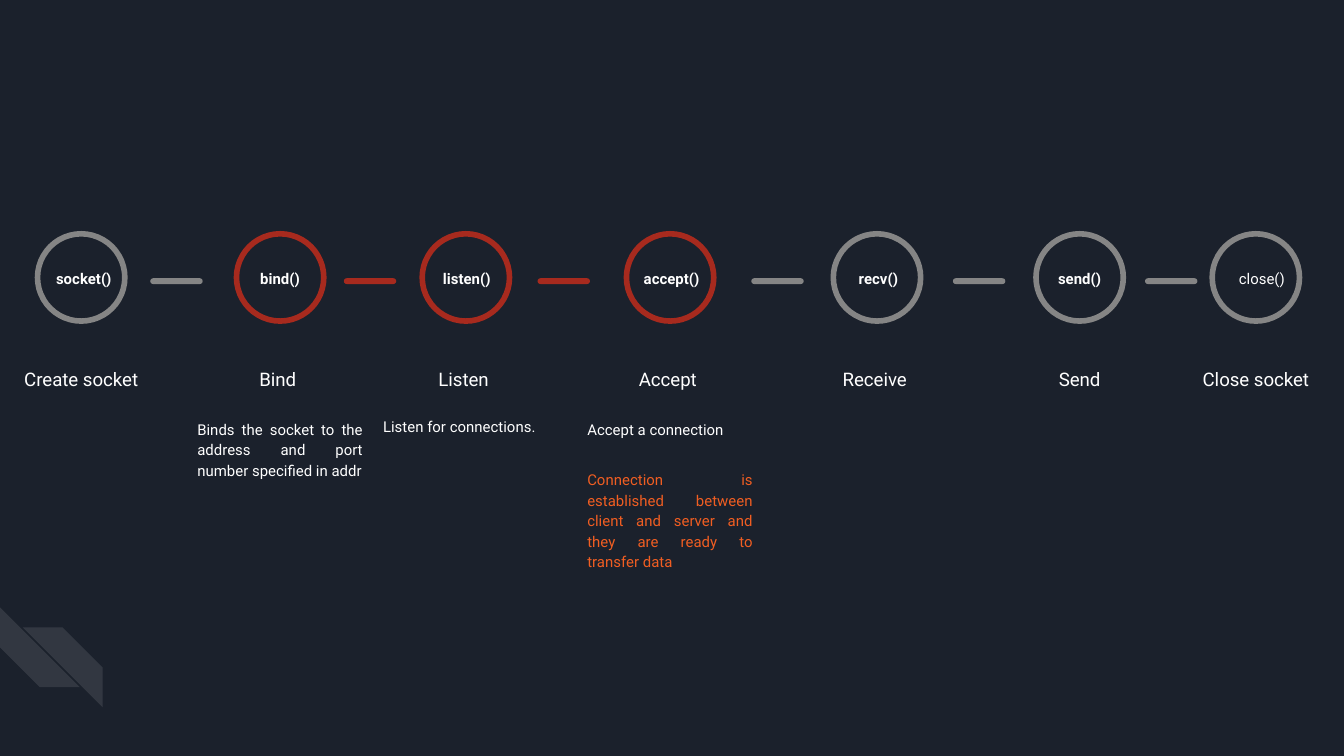
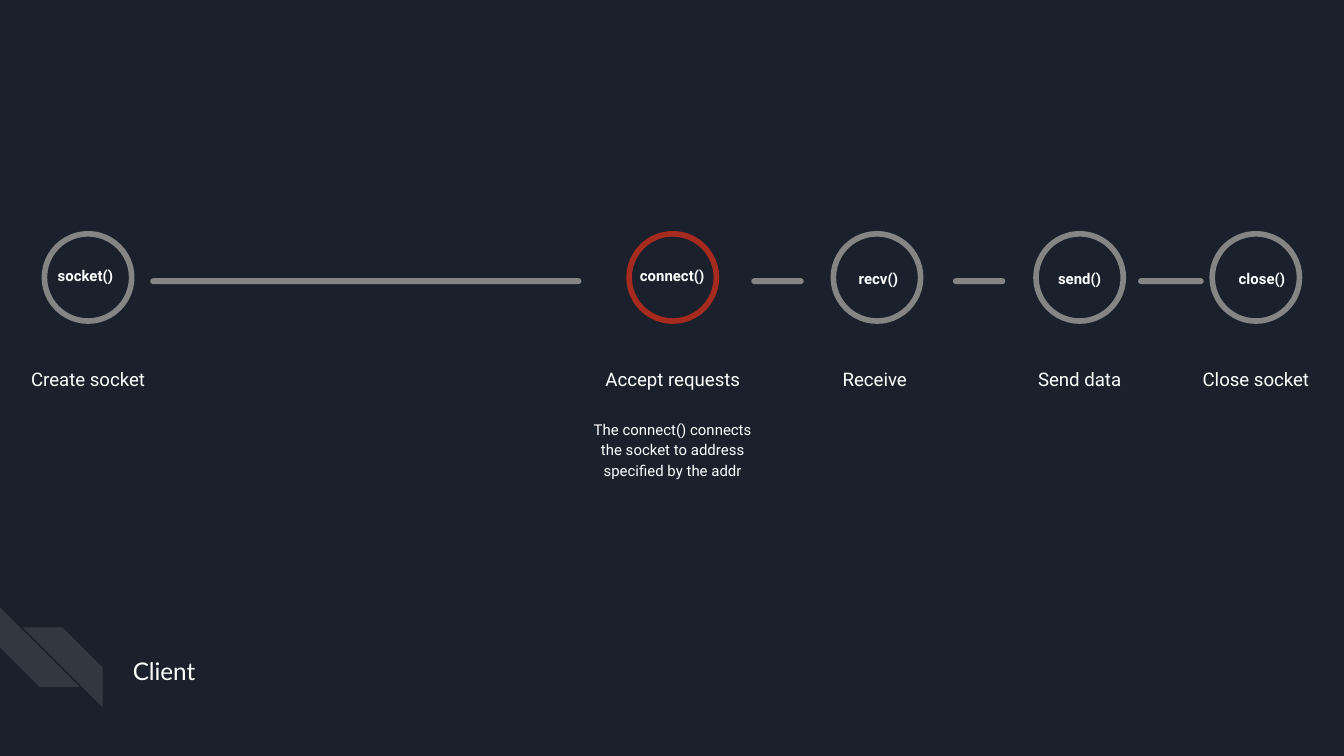
from dataclasses import dataclass
from typing import NamedTuple

from lxml.etree import SubElement
from pptx import Presentation
from pptx.dml.color import RGBColor
from pptx.enum.shapes import MSO_SHAPE
from pptx.enum.text import MSO_ANCHOR, PP_ALIGN
from pptx.oxml.ns import qn
from pptx.shapes.autoshape import Shape
from pptx.shapes.shapetree import GroupShapes, SlideShapes
from pptx.slide import Slide
from pptx.util import Cm, Pt

NAVY = RGBColor(0x1B, 0x21, 0x2C)
WHITE = RGBColor(0xFF, 0xFF, 0xFF)
GREY = RGBColor(0x85, 0x85, 0x85)
RED = RGBColor(0xA7, 0x2A, 0x1E)
ORANGE = RGBColor(0xF1, 0x5E, 0x22)

LEFT, CENTER, JUSTIFY = PP_ALIGN.LEFT, PP_ALIGN.CENTER, PP_ALIGN.JUSTIFY
RING = 1.65
RING_TOP = 4.42
BAR_TOP = 5.26
BAR_HEIGHT = 0.11

Shapes = SlideShapes | GroupShapes


class Box(NamedTuple):
    """Left, top, width and height in centimetres."""

    left: float
    top: float
    width: float
    height: float


@dataclass(frozen=True)
class Step:
    """A ringed socket call with its label and optional explanation."""

    left: float
    call: str
    label: str
    color: RGBColor = GREY
    call_shift: float = 0
    call_top: float = 4.85
    call_width: float = RING
    call_align: PP_ALIGN = CENTER
    bold: bool = True
    detail: str = ""
    detail_align: PP_ALIGN = JUSTIFY


@dataclass(frozen=True)
class Bar:
    """A rounded dash between two steps."""

    left: float
    width: float = 0.99
    color: RGBColor = GREY


RECEIVE = Step(15.75, "recv()", "Receive ", call_shift=0.23, call_width=1.42, call_align=LEFT)

SERVER_STEPS = (
    Step(0.71, "socket()", "Create socket", call_shift=0.1, call_align=LEFT),
    Step(4.47, "bind()", "Bind ", RED,
         detail="Binds the socket to the address and port number specified in addr"),
    Step(7.98, "listen()", "Listen ", RED, call_shift=-0.08, call_width=1.85,
         detail="Listen for connections.", detail_align=LEFT),
    Step(11.84, "accept()", "Accept ", RED, call_shift=0.03,
         detail="Accept a connection\nConnection is established between client and server "
                "and they are ready to transfer data"),
    RECEIVE,
    Step(19.58, "send()", "Send"),
    Step(22.91, "close()", "Close socket", call_shift=0.23, call_width=1.42, bold=False),
)
SERVER_BARS = (Bar(2.84), Bar(6.5, color=RED), Bar(10.16, color=RED),
               Bar(14.2), Bar(18.01), Bar(21.64))

CLIENT_STEPS = (
    Step(0.84, "socket()", "Create socket", call_top=4.8, call_align=LEFT),
    Step(11.89, "connect()", "Accept requests", RED, call_shift=-0.2, call_top=4.8,
         call_width=2.03, detail_align=CENTER,
         detail="The connect() connects the socket to address specified by the addr"),
    RECEIVE,
    Step(19.58, "send()", "Send data"),
    Step(22.91, "close()", "Close socket", call_shift=0.23, call_width=1.42),
)
CLIENT_BARS = (Bar(2.84, 8.15), Bar(14.2), Bar(18.01), Bar(21.51, 1.24))


def add_shape(shapes: Shapes, kind: MSO_SHAPE, box: Box, *, fill: RGBColor | None = None,
              line: RGBColor | None = None) -> Shape:
    """Add a flat preset shape with an optional fill and outline."""
    s = shapes.add_shape(kind, *map(Cm, box))
    s.shadow.inherit = False
    if fill is None:
        s.fill.background()
    else:
        s.fill.solid()
        s.fill.fore_color.rgb = fill
    if line is None:
        s.line.fill.background()
    else:
        s.line.color.rgb = line
        s.line.width = Pt(3)
    return s


def add_text(shapes: Shapes, text: str, box: Box, *, size: float = 8, bold: bool = False,
             font: str = "Roboto", align: PP_ALIGN = CENTER, spacing: float = 1.15,
             anchor: MSO_ANCHOR = MSO_ANCHOR.TOP) -> None:
    """Add a wrapped text box; paragraphs after the first are orange and set apart."""
    tf = shapes.add_textbox(*map(Cm, box)).text_frame
    tf.word_wrap = True
    tf.vertical_anchor = anchor
    tf.margin_left = tf.margin_right = tf.margin_top = tf.margin_bottom = Cm(0.25)
    for i, line in enumerate(text.split("\n")):
        p = tf.add_paragraph() if i else tf.paragraphs[0]
        p.alignment = align
        p.line_spacing = spacing
        p.space_before = Pt(16 if i else 0)
        r = p.add_run()
        r.text = line
        r.font.name = font
        r.font.size = Pt(size)
        r.font.bold = bold
        r.font.color.rgb = ORANGE if i else WHITE


def add_stripe(shapes: Shapes, box: Box, *, rotation: float = 0, flip: bool = False) -> None:
    """Add a faint diagonal corner stripe."""
    s = add_shape(shapes, MSO_SHAPE.DIAGONAL_STRIPE, box, fill=WHITE)
    s.adjustments[0] = 0.5
    s.rotation = rotation
    if flip:
        s._element.spPr.find(qn("a:xfrm")).set("flipH", "1")
    color = s._element.spPr.find(qn("a:solidFill")).find(qn("a:srgbClr"))
    SubElement(color, qn("a:alpha")).set("val", "10000")


def add_step(slide: Slide, step: Step) -> None:
    """Add one step as a group, its label and detail centred on the ring."""
    shapes = slide.shapes.add_group_shape().shapes
    add_shape(shapes, MSO_SHAPE.OVAL, Box(step.left, RING_TOP, RING, RING), line=step.color)
    width = 3.63 if step.detail else 3.78
    left = step.left + (RING - width) / 2
    add_text(shapes, step.label, Box(left, 6.38, width, 1.24), size=10,
             anchor=MSO_ANCHOR.BOTTOM)
    if step.detail:
        add_text(shapes, step.detail, Box(left, 7.65, width, 2.06), align=step.detail_align)
    add_text(shapes, step.call,
             Box(step.left + step.call_shift, step.call_top, step.call_width, 0.89),
             bold=step.bold, align=step.call_align)


def add_bar(slide: Slide, bar: Bar) -> None:
    """Add one rounded dash."""
    s = add_shape(slide.shapes, MSO_SHAPE.ROUNDED_RECTANGLE,
                  Box(bar.left, BAR_TOP, bar.width, BAR_HEIGHT), fill=bar.color)
    s.adjustments[0] = 0.5


def add_flow(prs: Presentation, steps: tuple[Step, ...], bars: tuple[Bar, ...]) -> Slide:
    """Add a slide with the corner stripes, the steps and the dashes."""
    slide = prs.slides.add_slide(prs.slide_layouts[6])
    corner = slide.shapes.add_group_shape().shapes
    add_stripe(corner, Box(0, 11.48, 1.51, 1.51), rotation=270)
    add_stripe(corner, Box(0.43, 11.86, 1.51, 1.51), flip=True)
    for step in steps:
        add_step(slide, step)
    for bar in bars:
        add_bar(slide, bar)
    return slide


def main() -> None:
    """Build and save the deck."""
    prs = Presentation()
    prs.slide_width, prs.slide_height = Cm(25.4), Cm(14.29)
    background = prs.slide_master.background.fill
    background.solid()
    background.fore_color.rgb = NAVY
    add_flow(prs, SERVER_STEPS, SERVER_BARS)
    client = add_flow(prs, CLIENT_STEPS, CLIENT_BARS)
    add_text(client.shapes, "Client", Box(2.26, 11.96, 19.28, 1.45), size=13, font="Lato",
             align=LEFT, spacing=1.0, anchor=MSO_ANCHOR.MIDDLE)
    prs.save("out.pptx")


main()
